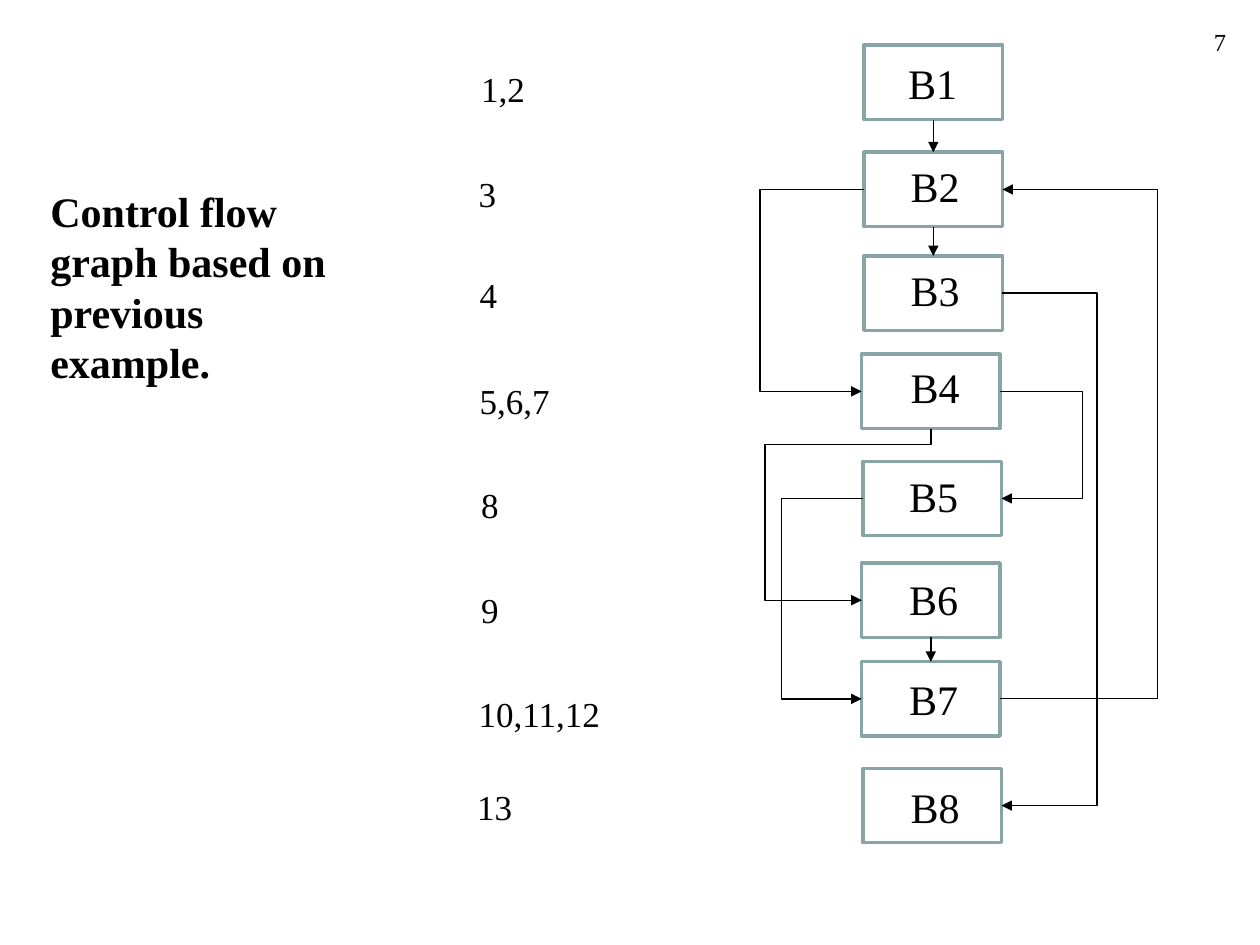
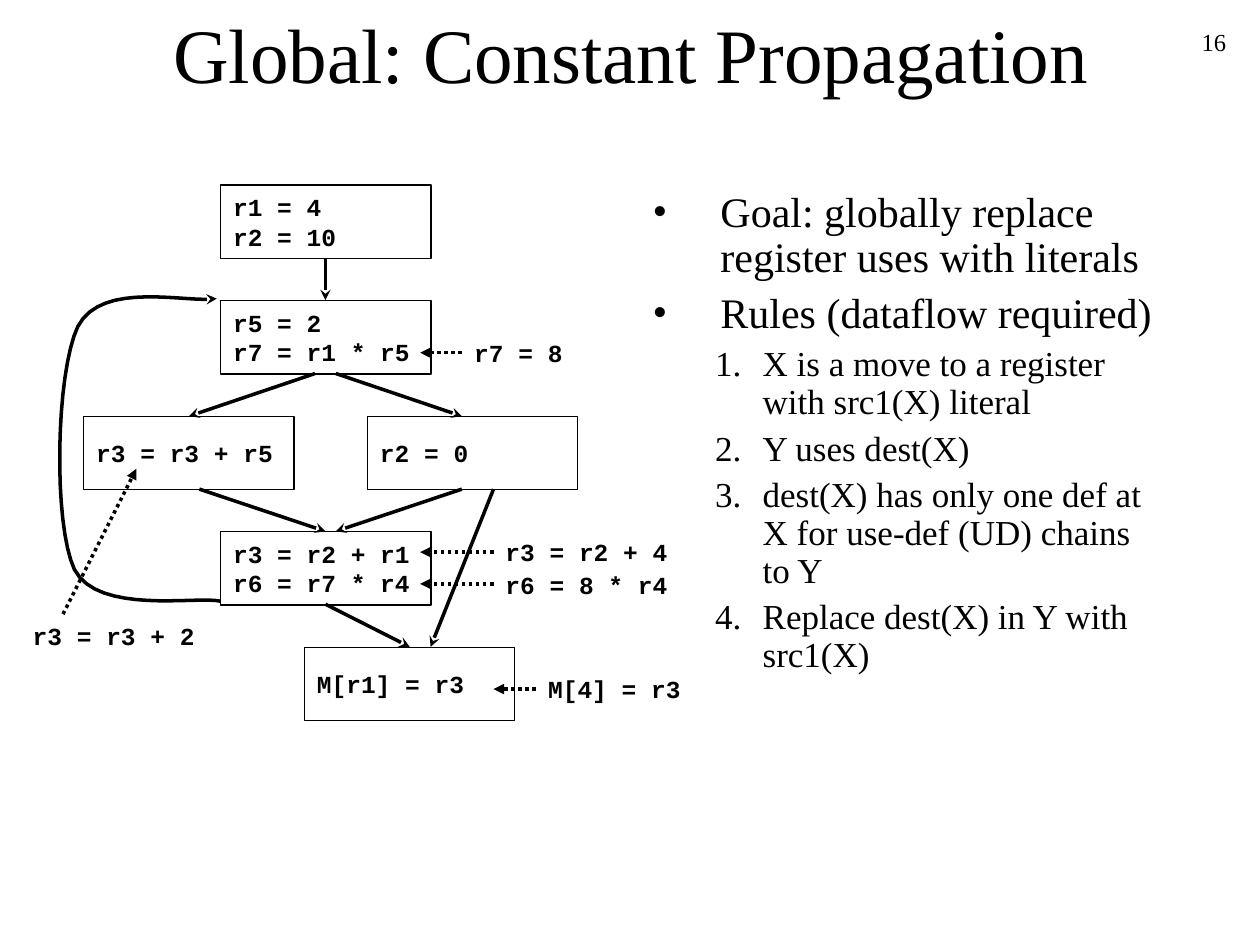
import dataclasses
import typing

import lxml.etree
import pptx
import pptx.dml.color
import pptx.enum.dml
import pptx.enum.shapes
import pptx.enum.text
import pptx.oxml.ns
import pptx.util

Cm, Pt = pptx.util.Cm, pptx.util.Pt
RGBColor = pptx.dml.color.RGBColor
qn = pptx.oxml.ns.qn
Align = pptx.enum.text.PP_ALIGN
Anchor = pptx.enum.text.MSO_ANCHOR
Link = pptx.enum.shapes.MSO_CONNECTOR
RECTANGLE = pptx.enum.shapes.MSO_SHAPE.RECTANGLE
DOTTED = pptx.enum.dml.MSO_LINE.ROUND_DOT

BLACK = RGBColor(0x00, 0x00, 0x00)
NODE_EDGE = RGBColor(0x89, 0xA4, 0xA7)
SERIF = "Times New Roman"
MONO = "Courier New"
CODE = {"name": MONO, "size": Pt(14), "bold": True}
TOP, LEFT, BOTTOM, RIGHT = range(4)
Point = tuple[float, float]


@dataclasses.dataclass(frozen=True)
class Node:
    name: str
    left: float
    top: float
    label_left: float
    label_top: float
    lines: str
    lines_left: float
    lines_top: float
    lines_width: float = 2.16


@dataclasses.dataclass(frozen=True)
class Edge:
    source: str
    source_side: int
    target: str
    target_side: int
    via_x: float | None = None
    via_y: float | None = None


@dataclasses.dataclass(frozen=True)
class Block:
    text: str
    left: float
    row: int


@dataclasses.dataclass(frozen=True)
class Note:
    text: str
    left: float
    top: float
    width: float
    start: Point
    end: Point


NODES = [
    Node("B1", 17.42, 0.91, 18.06, 1.04, "1,2", 9.45, 1.24),
    Node("B2", 17.42, 3.07, 18.11, 3.12, "3", 9.4, 3.35),
    Node("B3", 17.42, 5.16, 18.11, 5.21, "4", 9.42, 5.38),
    Node("B4", 17.37, 7.14, 18.11, 7.16, "5,6,7", 9.42, 7.52),
    Node("B5", 17.4, 9.3, 18.08, 9.37, "8", 9.45, 9.63),
    Node("B6", 17.37, 11.35, 18.08, 11.43, "9", 9.45, 11.73),
    Node("B7", 17.37, 13.34, 18.08, 13.46, "10,11,12", 9.4, 13.84, 3.33),
    Node("B8", 17.4, 15.49, 18.11, 15.62, "13", 9.37, 15.72),
]
EDGES = [
    Edge("B1", BOTTOM, "B2", TOP),
    Edge("B2", BOTTOM, "B3", TOP),
    Edge("B2", LEFT, "B4", LEFT, 15.32),
    Edge("B3", RIGHT, "B8", RIGHT, 22.12),
    Edge("B4", RIGHT, "B5", RIGHT, 21.82),
    Edge("B4", BOTTOM, "B6", LEFT, 15.42, 8.97),
    Edge("B6", BOTTOM, "B7", TOP),
    Edge("B7", RIGHT, "B2", RIGHT, 23.34),
    Edge("B5", LEFT, "B7", LEFT, 15.75),
]
BLOCKS = [
    Block("r1 = 4\nr2 = 10", 4.45, 0),
    Block("r5 = 2\nr7 = r1 * r5", 4.45, 1),
    Block("r3 = r3 + r5", 1.69, 2),
    Block("r2 = 0", 7.41, 2),
    Block("r3 = r2 + r1\nr6 = r7 * r4", 4.45, 3),
    Block("M[r1] = r3", 6.14, 4),
]
FLOWS = [
    ((6.56, 5.2), (6.56, 6.05)),
    ((6.35, 7.53), (3.81, 8.39)),
    ((6.77, 7.53), (9.31, 8.39)),
    ((4.02, 9.86), (6.56, 10.71)),
    ((9.31, 9.86), (6.77, 10.71)),
    ((6.56, 12.18), (8.26, 13.04)),
    ((9.95, 9.86), (8.68, 13.04)),
]
LOOP = [
    (4.45, 12.12),
    (3.96, 12.01), (1.98, 12.4), (1.5, 11.48),
    (1.07, 10.57), (1.12, 7.52), (1.57, 6.58),
    (2.06, 5.64), (3.78, 6.12), (4.37, 6.02),
]
NOTES = [
    Note("r7 = 8", 9.31, 6.68, 2.29, (9.31, 7.11), (8.47, 7.11)),
    Note("r3 = r3 + 2", 0.41, 12.4, 3.78, (1.27, 12.38), (2.75, 9.45)),
    Note("M[4] = r3", 10.8, 13.46, 3.18, (10.8, 13.89), (9.95, 13.89)),
    Note("r3 = r2 + 4", 9.94, 10.71, 3.78, (9.95, 11.13), (8.47, 11.13)),
    Note("r6 = 8 * r4", 9.94, 11.36, 3.78, (9.95, 11.77), (8.47, 11.77)),
]
RULES = [
    (0, "Goal: globally replace register uses with literals"),
    (0, "Rules (dataflow required)"),
    (1, "X is a move to a register with src1(X) literal"),
    (1, "Y uses dest(X)"),
    (1, "dest(X) has only one def at X for use-def (UD) chains to Y"),
    (1, "Replace dest(X) in Y with src1(X)"),
]


def set_all(obj: typing.Any, values: dict[str, typing.Any]) -> None:
    for name, value in values.items():
        setattr(obj, name, value)


def place(s, left: float, top: float, width: float, height: float) -> None:
    set_all(s, {"left": Cm(left), "top": Cm(top), "width": Cm(width), "height": Cm(height)})


def write(tf, text: str, font: dict[str, typing.Any], align=Align.LEFT) -> None:
    for i, line in enumerate(text.split("\n")):
        p = tf.paragraphs[0] if i == 0 else tf.add_paragraph()
        p.alignment = align
        r = p.add_run()
        r.text = line
        set_all(r.font, {"name": SERIF} | font)
        r.font.color.rgb = BLACK


def add_text(sl, text: str, box: tuple[float, float, float, float],
             font: dict[str, typing.Any], align=Align.LEFT, wrap: bool = True) -> None:
    s = sl.shapes.add_textbox(*map(Cm, box))
    s.text_frame.word_wrap = wrap
    write(s.text_frame, text, font, align)


def add_title(sl, text: str, box: tuple[float, float, float, float],
              font: dict[str, typing.Any], align, anchor) -> None:
    s = sl.shapes.title
    place(s, *box)
    set_all(s.text_frame, {"auto_size": pptx.enum.text.MSO_AUTO_SIZE.NONE,
                           "vertical_anchor": anchor, "word_wrap": True})
    write(s.text_frame, text, font, align)


def add_number(sl, number: int) -> None:
    add_text(sl, str(number), (19.69, 0.43, 5.28, 1.27), {"size": Pt(14)}, Align.RIGHT)


def add_box(sl, left: float, top: float, width: float, height: float,
            color: RGBColor, weight: float):
    s = sl.shapes.add_shape(RECTANGLE, Cm(left), Cm(top), Cm(width), Cm(height))
    s.shadow.inherit = False
    s.fill.background()
    s.line.color.rgb = color
    s.line.width = Pt(weight)
    return s


def style_arrow(s, weight: float, head: str, dash=None) -> None:
    s.line.color.rgb = BLACK
    s.line.width = Pt(weight)
    if dash is not None:
        s.line.dash_style = dash
    sp = s._element.spPr
    lxml.etree.SubElement(sp.find(qn("a:ln")), qn("a:tailEnd"), type=head)
    if sp.find(qn("a:effectLst")) is None:
        lxml.etree.SubElement(sp, qn("a:effectLst"))


def add_arrow(sl, start: Point, end: Point, head: str, dash=None) -> None:
    s = sl.shapes.add_connector(Link.STRAIGHT, *map(Cm, start + end))
    style_arrow(s, 2, head, dash)


def site(s, side: int) -> tuple[int, int]:
    x = {LEFT: 0, RIGHT: s.width}.get(side, s.width // 2)
    y = {TOP: 0, BOTTOM: s.height}.get(side, s.height // 2)
    return s.left + x, s.top + y


def bend(s, *ratios: float) -> None:
    geom = s._element.spPr.find(qn("a:prstGeom"))
    geom.set("prst", f"bentConnector{len(ratios) + 2}")
    guides = geom.find(qn("a:avLst"))
    for i, ratio in enumerate(ratios, 1):
        lxml.etree.SubElement(guides, qn("a:gd"), name=f"adj{i}",
                              fmla=f"val {round(ratio * 100000)}")


def add_edge(sl, edge: Edge, boxes: dict[str, typing.Any]) -> None:
    source, target = boxes[edge.source], boxes[edge.target]
    x0, y0 = site(source, edge.source_side)
    x1, y1 = site(target, edge.target_side)
    kind = Link.STRAIGHT if edge.via_x is None else Link.ELBOW
    s = sl.shapes.add_connector(kind, x0, y0, x1, y1)
    s.begin_connect(source, edge.source_side)
    s.end_connect(target, edge.target_side)
    if edge.via_y is not None:
        width, height = y1 - y0, x0 - x1
        xfrm = s._element.spPr.find(qn("a:xfrm"))
        xfrm.attrib.clear()
        xfrm.set("rot", "5400000")
        set_all(s, {"left": (x0 + x1 - width) // 2, "top": (y0 + y1 - height) // 2,
                    "width": width, "height": height})
        bend(s, (Cm(edge.via_y) - y0) / width, (x0 - Cm(edge.via_x)) / height)
    elif edge.via_x is not None:
        bend(s, (Cm(edge.via_x) - x0) / (x1 - x0))
    style_arrow(s, 0.75, "triangle")


def add_curve(sl, points: list[Point], steps: int = 16) -> None:
    track = []
    for i in range(0, len(points) - 1, 3):
        a, b, c, d = points[i:i + 4]
        for n in range(1, steps + 1):
            t = n / steps
            u = 1 - t
            track.append(tuple(
                Cm(u ** 3 * a[k] + 3 * u * u * t * b[k] + 3 * u * t * t * c[k] + t ** 3 * d[k])
                for k in (0, 1)))
    builder = sl.shapes.build_freeform(*map(Cm, points[0]))
    builder.add_line_segments(track, close=False)
    s = builder.convert_to_shape()
    s.shadow.inherit = False
    s.fill.background()
    style_arrow(s, 2, "stealth")


def add_rules(s) -> None:
    place(s, 12.9, 3.73, 10.59, 11.43)
    tf = s.text_frame
    tf.auto_size = pptx.enum.text.MSO_AUTO_SIZE.NONE
    for i, (level, text) in enumerate(RULES):
        p = tf.paragraphs[0] if i == 0 else tf.add_paragraph()
        margin, hang = ((1.37, 1.37), (2.22, 0.96))[level]
        pr = p._p.get_or_add_pPr()
        pr.set("marL", str(Cm(margin)))
        pr.set("indent", str(-Cm(hang)))
        lxml.etree.SubElement(pr, qn("a:buFont"), typeface=SERIF)
        if level:
            lxml.etree.SubElement(pr, qn("a:buAutoNum"), type="arabicPeriod")
        else:
            lxml.etree.SubElement(pr, qn("a:buChar"), char="•")
        set_all(p, {"level": level, "line_spacing": 0.9,
                    "space_before": Pt(0 if i == 0 else 6 - level)})
        r = p.add_run()
        r.text = text
        set_all(r.font, {"name": SERIF, "size": Pt(20 if level else 24)})
        r.font.color.rgb = BLACK


def build_flow_graph(prs) -> None:
    sl = prs.slides.add_slide(prs.slide_layouts[5])
    add_number(sl, 7)
    add_title(sl, "Control flow graph based on previous example.", (0.76, 3.61, 6.1, 4.32),
              {"size": Pt(24), "bold": True}, Align.LEFT, Anchor.TOP)
    boxes = {n.name: add_box(sl, n.left, n.top, 2.79, 1.5, NODE_EDGE, 2) for n in NODES}
    for n in NODES:
        add_text(sl, n.name, (n.label_left, n.label_top, 1.85, 1.27), {"size": Pt(24)})
        add_text(sl, n.lines, (n.lines_left, n.lines_top, n.lines_width, 1.12), {"size": Pt(20)})
    for edge in EDGES:
        add_edge(sl, edge, boxes)


def build_propagation(prs) -> None:
    sl = prs.slides.add_slide(prs.slide_layouts[1])
    add_number(sl, 16)
    add_title(sl, "Global: Constant Propagation", (1.93, 0, 21.59, 2.13),
              {"size": Pt(44)}, Align.CENTER, Anchor.MIDDLE)
    add_rules(sl.placeholders[1])
    add_curve(sl, LOOP)
    for block in BLOCKS:
        s = add_box(sl, block.left, 3.73 + 2.33 * block.row, 4.24, 1.48, BLACK, 0.75)
        set_all(s.text_frame, {"word_wrap": True, "vertical_anchor": Anchor.MIDDLE})
        write(s.text_frame, block.text, CODE)
    for start, end in FLOWS:
        add_arrow(sl, start, end, "stealth")
    for note in NOTES:
        add_arrow(sl, note.start, note.end, "triangle", DOTTED)
        add_text(sl, note.text, (note.left, note.top, note.width, 0.86), CODE, wrap=False)


def main() -> None:
    prs = pptx.Presentation()
    set_all(prs, {"slide_width": Cm(25.4), "slide_height": Cm(19.05)})
    build_flow_graph(prs)
    build_propagation(prs)
    prs.save("out.pptx")


if __name__ == "__main__":
    main()
